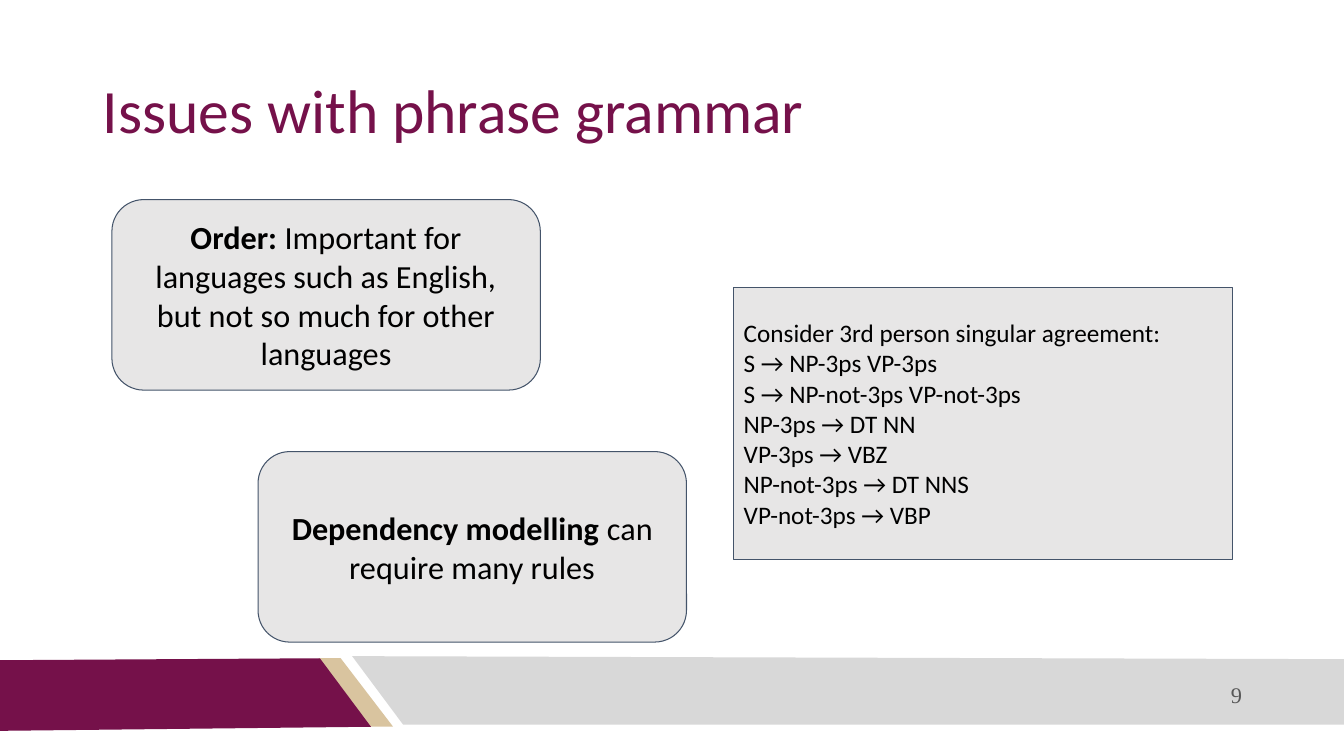
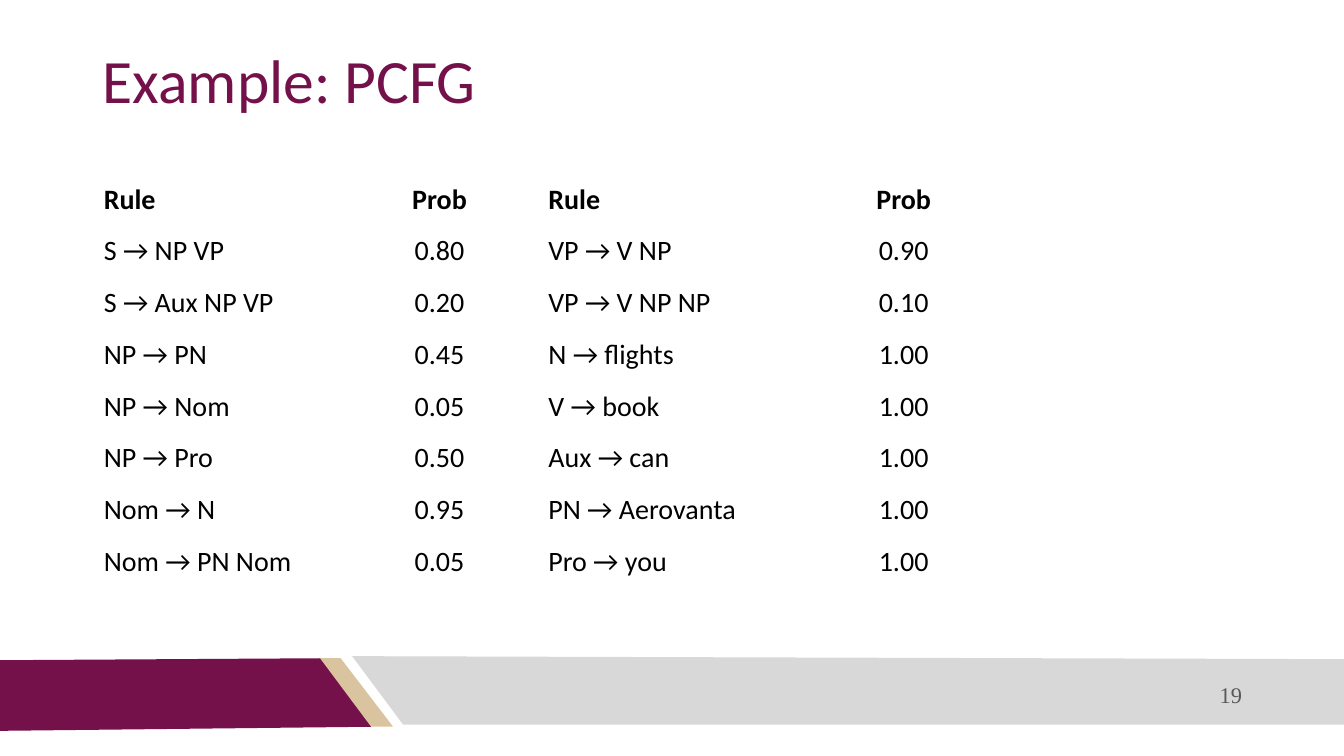
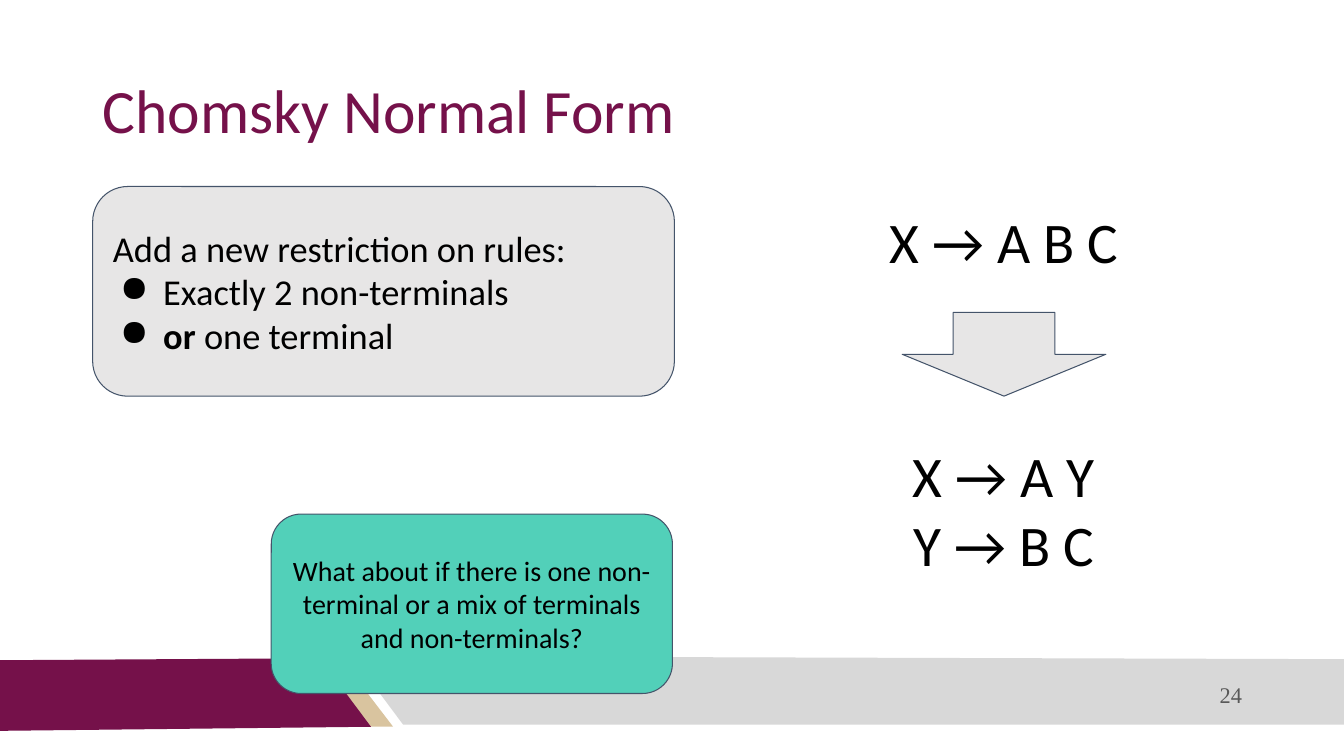
from lxml.etree import SubElement
from pptx import Presentation
from pptx.dml.color import RGBColor
from pptx.enum.shapes import MSO_SHAPE as Shape
from pptx.enum.text import MSO_ANCHOR as Anchor, PP_ALIGN as Align
from pptx.oxml.ns import qn
from pptx.util import Inches, Pt

WIDTH, HEIGHT = Inches(13.33), Inches(7.5)
COLOURS = {
    "maroon": "75114A", "sand": "D9C49F", "band": "D8D8D8",
    "panel": "E7E6E6", "teal": "52D0B9", "outline": "44546A",
    "text": "000000", "number": "595959",
}
INSET = Inches(0.1)

# Corner points of the footer bands, in percent of the slide's width and height
BANDS = [
    ("sand", [(23.7, 87.07), (25.35, 87.07), (29.25, 96.13), (27.55, 96.13)]),
    ("maroon", [(0, 87.33), (23.8, 87.07), (27.6, 96.13), (0, 96.67)]),
    ("band", [(26.2, 86.8), (100, 87.2), (100, 95.87), (30, 95.87)]),
]

RULES = [
    ("Rule", "Prob", "Rule", "Prob"),
    ("S → NP VP", "0.80", "VP → V NP", "0.90"),
    ("S → Aux NP VP", "0.20", "VP → V NP NP", "0.10"),
    ("NP → PN", "0.45", "N → flights", "1.00"),
    ("NP → Nom", "0.05", "V → book", "1.00"),
    ("NP → Pro", "0.50", "Aux → can", "1.00"),
    ("Nom → N", "0.95", "PN → Aerovanta", "1.00"),
    ("Nom → PN Nom", "0.05", "Pro → you", "1.00"),
]
RULE_COLUMNS = (21.6, 11.48, 23.25, 11.1)
RULE_ROW = 6.84

AGREEMENT = [
    "Consider 3rd person singular agreement:",
    "S → NP-3ps VP-3ps",
    "S → NP-not-3ps VP-not-3ps",
    "NP-3ps → DT NN",
    "VP-3ps → VBZ",
    "NP-not-3ps → DT NNS",
    "VP-not-3ps → VBP",
]


def across(percent):
    return round(WIDTH * percent / 100)


def down(percent):
    return round(HEIGHT * percent / 100)


def area(left, top, width, height):
    """Turn percentages of the slide into a position and size."""
    return across(left), down(top), across(width), down(height)


def colour(name):
    return RGBColor.from_string(COLOURS[name])


def paint(shape, fill, line=None):
    shape.shadow.inherit = False
    shape.fill.solid()
    shape.fill.fore_color.rgb = colour(fill)
    if line:
        shape.line.color.rgb = colour(line)
        shape.line.width = Pt(0.75)
    else:
        shape.line.fill.background()


def add_spans(para, spans, size, tint="text", face="Calibri"):
    """Write a string, or a list of (text, bold) pairs, run by run."""
    if isinstance(spans, str):
        spans = [(spans, False)]
    for text, bold in spans:
        span = para.add_run()
        span.text = text
        span.font.size = Pt(size)
        span.font.name = face
        span.font.bold = bold
        span.font.color.rgb = colour(tint)


def add_bullet(para):
    props = para._p.get_or_add_pPr()
    props.set("marL", str(Inches(0.5)))
    props.set("indent", str(-Inches(0.43)))
    tint = SubElement(props, qn("a:buClr"))
    SubElement(tint, qn("a:srgbClr"), val=COLOURS["text"])
    SubElement(props, qn("a:buChar"), char="●")


def write(box, lines, size, align=Align.LEFT, anchor=Anchor.MIDDLE,
          bullets_from=None, spacing=None, **style):
    frame = box.text_frame
    frame.word_wrap = True
    frame.vertical_anchor = anchor
    frame.margin_left = frame.margin_right = INSET
    frame.margin_top = frame.margin_bottom = INSET
    for index, spans in enumerate(lines):
        para = frame.add_paragraph() if index else frame.paragraphs[0]
        para.alignment = align
        if spacing:
            para.line_spacing = spacing
        if bullets_from is not None and index >= bullets_from:
            add_bullet(para)
        add_spans(para, spans, size, **style)


def add_text(page, place, lines, size, **style):
    write(page.shapes.add_textbox(*area(*place)), lines, size, **style)


def add_panel(page, place, kind=Shape.ROUNDED_RECTANGLE, fill="panel"):
    panel = page.shapes.add_shape(kind, *area(*place))
    paint(panel, fill, "outline")
    return panel


def add_band(page, fill, points):
    corners = [(across(x), down(y)) for x, y in points]
    builder = page.shapes.build_freeform(*corners[0])
    builder.add_line_segments(corners[1:], close=True)
    paint(builder.convert_to_shape(), fill)


def add_page(deck, title, number, anchor=Anchor.MIDDLE):
    """Start a slide with the shared bands, title and number."""
    page = deck.slides.add_slide(deck.slide_layouts[6])
    for fill, points in BANDS:
        add_band(page, fill, points)
    add_text(page, (6.9, 5.33, 86.25, 19.33), [title], 44,
             anchor=anchor, spacing=0.9, tint="maroon")
    add_text(page, (59.4, 89.2, 33.75, 5.33), [str(number)], 16,
             align=Align.RIGHT, tint="number", face="Times New Roman")
    return page


def fill_cell(cell, text, align, bold):
    cell.fill.background()
    cell.margin_left = cell.margin_top = cell.margin_bottom = Inches(0.06)
    cell.margin_right = Inches(0.42)
    para = cell.text_frame.paragraphs[0]
    para._p.get_or_add_pPr().set("marL", str(Inches(0.15)))
    para.alignment = align
    para.line_spacing = 1.15
    add_spans(para, [(text, bold)], 20)


def add_rule_table(page, left, top):
    place = area(left, top, sum(RULE_COLUMNS), RULE_ROW * len(RULES))
    table = page.shapes.add_table(len(RULES), len(RULE_COLUMNS), *place).table
    table.first_row = table.horz_banding = False
    for column, width in zip(table.columns, RULE_COLUMNS):
        column.width = across(width)
    for row_index, row in enumerate(RULES):
        table.rows[row_index].height = down(RULE_ROW)
        for column_index, text in enumerate(row):
            align = Align.CENTER if column_index % 2 else Align.LEFT
            fill_cell(table.cell(row_index, column_index), text, align,
                      bold=row_index == 0)


def add_grammar_issues(deck):
    page = add_page(deck, "Issues with phrase grammar", 9)
    issues = [
        (8.33, 26.4, [("Order: ", True), (
            "Important for languages such as English, "
            "but not so much for other languages", False)]),
        (19.2, 59.73, [("Dependency modelling", True),
                       (" can require many rules", False)]),
    ]
    for left, top, spans in issues:
        panel = add_panel(page, (left, top, 31.88, 25.2))
        write(panel, [spans], 23, align=Align.CENTER)
    example = add_panel(page, (54.6, 38, 37.13, 36), Shape.RECTANGLE)
    write(example, AGREEMENT, 18)


def add_pcfg(deck):
    page = add_page(deck, "Example: PCFG", 19, anchor=Anchor.TOP)
    add_rule_table(page, 6.15, 22.67)


def add_normal_form(deck):
    page = add_page(deck, "Chomsky Normal Form", 24)
    restriction = add_panel(page, (6.9, 24.67, 43.28, 27.73))
    write(restriction, [
        "Add a new restriction on rules:",
        "Exactly 2 non-terminals",
        [("or", True), (" one terminal", False)],
    ], 26, bullets_from=1)
    rewrites = [(25.87, 11.87, ["X → A B C"]),
                (56.93, 21.07, ["X → A Y", "Y → B C"])]
    for top, height, lines in rewrites:
        add_text(page, (59.1, top, 31.2, height), lines, 41,
                 align=Align.CENTER, anchor=Anchor.TOP)
    add_panel(page, (67.13, 41.33, 15.15, 11.07), Shape.DOWN_ARROW)
    question = add_panel(page, (20.18, 68, 29.85, 23.73), fill="teal")
    write(question, ["What about if there is one non-terminal or a mix of "
                     "terminals and non-terminals?"], 20, align=Align.CENTER)


def main():
    deck = Presentation()
    deck.slide_width, deck.slide_height = WIDTH, HEIGHT
    add_grammar_issues(deck)
    add_pcfg(deck)
    add_normal_form(deck)
    deck.save("out.pptx")


if __name__ == "__main__":
    main()
